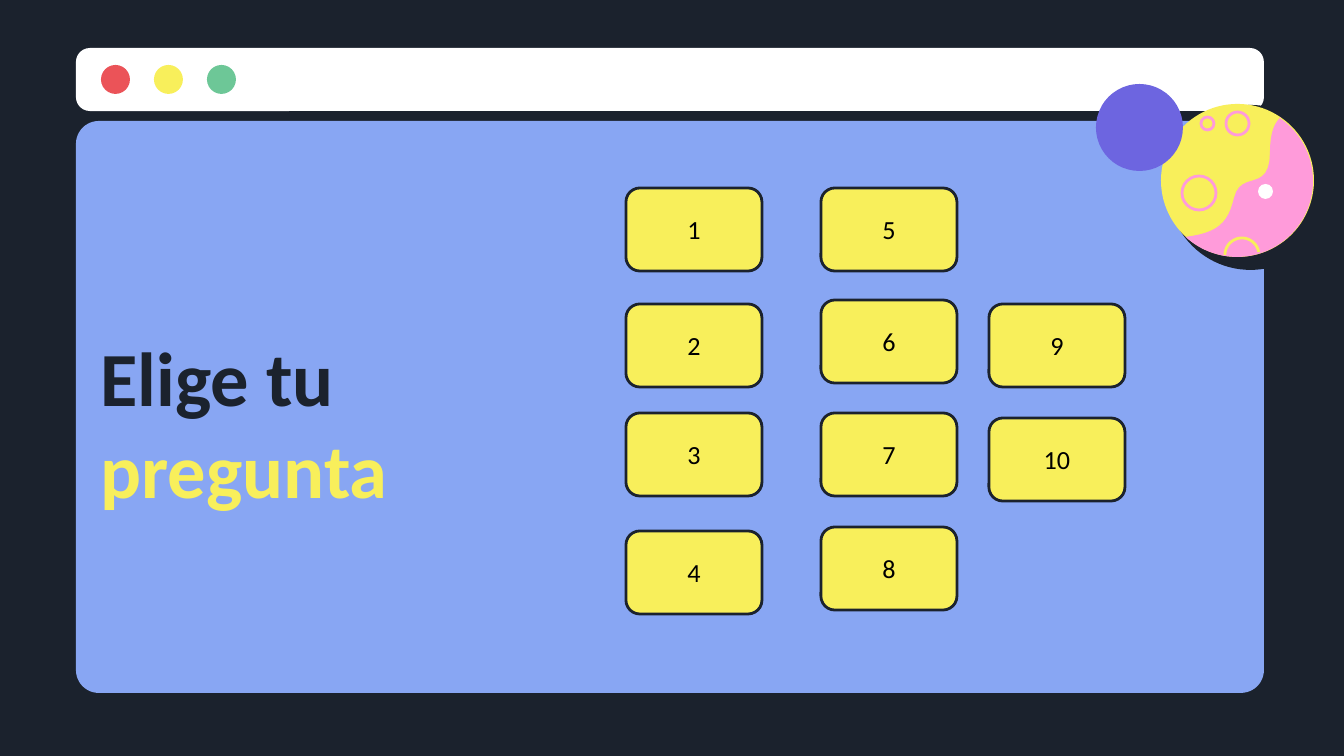
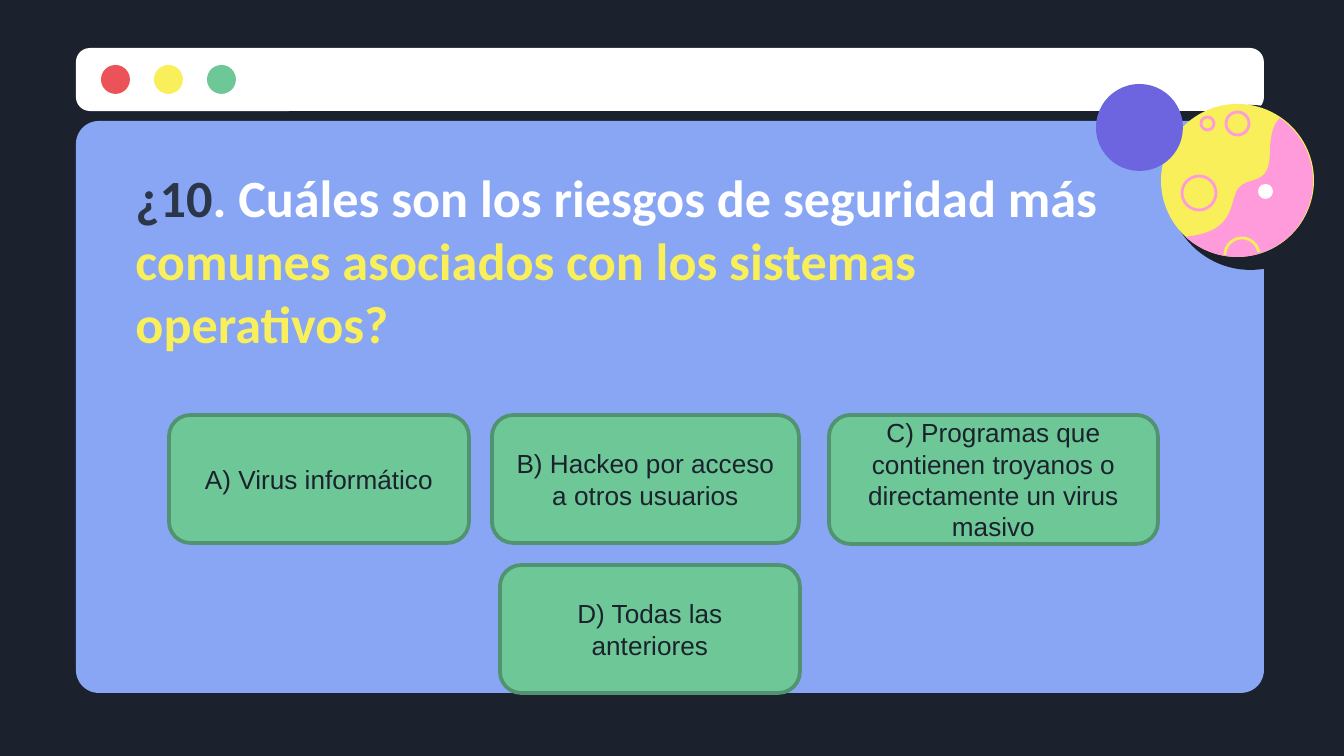
import math

import pptx
import pptx.dml.color
import pptx.enum.shapes
import pptx.enum.text
import pptx.util

PX = 9144000 / 1344
ROUND = pptx.enum.shapes.MSO_SHAPE.ROUNDED_RECTANGLE
OVAL = pptx.enum.shapes.MSO_SHAPE.OVAL
NIGHT, WHITE, YELLOW, GREEN, PINK = "1B222D", "FFFFFF", "F8EF5B", "6DC797", "FF9BDA"


def paint(shape, fill=None, line=None, weight=1.5):
    shape.shadow.inherit = False
    for part, colour in ((shape.fill, fill), (shape.line.fill, line)):
        if colour:
            part.solid()
            part.fore_color.rgb = pptx.dml.color.RGBColor.from_string(colour)
        else:
            part.background()
    if line:
        shape.line.width = pptx.util.Pt(weight)


def add_preset(slide, preset, box, fill=None, line=None, weight=1.5):
    shape = slide.shapes.add_shape(preset, *[round(value * PX) for value in box])
    paint(shape, fill, line, weight)
    return shape


prs = pptx.Presentation()
prs.slide_width, prs.slide_height = round(1344 * PX), round(756 * PX)
layout = prs.slide_layouts.get_by_name("Title Only")
layout.background.fill.solid()
layout.background.fill.fore_color.rgb = pptx.dml.color.RGBColor.from_string(NIGHT)
for placeholder in list(layout.placeholders):
    if placeholder.placeholder_format.type != pptx.enum.shapes.PP_PLACEHOLDER.TITLE:
        placeholder.element.getparent().remove(placeholder.element)
menu = prs.slides.add_slide(layout)
question = prs.slides.add_slide(layout)

# Window frame and planet
add_preset(menu, ROUND, (76, 48, 1188, 63), WHITE).adjustments[0] = 0.22
for index, colour in enumerate(("EB5358", YELLOW, GREEN)):
    add_preset(menu, OVAL, (101 + 53 * index, 65, 29, 29), colour)
add_preset(menu, ROUND, (76, 121, 1188, 572), "88A6F3").adjustments[0] = 0.04
add_preset(menu, OVAL, (1168, 105, 165, 165), NIGHT)
add_preset(menu, OVAL, (1161, 104, 153, 153), YELLOW)
for x, y, size in ((1201, 117, 13), (1226, 112, 23), (1182, 176, 34)):
    add_preset(menu, OVAL, (x, y, size, size), None, PINK)

pink_half = [(1237 + 76 * math.cos(math.radians(angle)), 181 + 76 * math.sin(math.radians(angle)))
             for angle in range(-56, 134, 3)]
shore = [(1185, 237), (1218, 233), (1228, 223), (1234, 198), (1241, 169),
         (1270, 194), (1270, 152), (1270, 132), (1275, 122), (1281, 117)]
for start in range(0, 9, 3):
    for step in range(13):
        t = step / 12
        weights = ((1 - t) ** 3, 3 * t * (1 - t) ** 2, 3 * t * t * (1 - t), t ** 3)
        pink_half.append([sum(weight * point[axis] for weight, point in zip(weights, shore[start:start + 4]))
                          for axis in (0, 1)])
crater = [(1242 + 17 * math.cos(math.radians(angle)), 255 + 17 * math.sin(math.radians(angle)))
          for angle in range(180, 355, 5)]
for outline, closed, fill, line in ((pink_half, True, PINK, None), (crater, False, None, YELLOW)):
    points = [(x * PX, y * PX) for x, y in outline]
    builder = menu.shapes.build_freeform(*points[0])
    builder.add_line_segments(points[1:], close=closed)
    paint(builder.convert_to_shape(), fill, line)
add_preset(menu, OVAL, (1258, 184, 15, 15), WHITE)
add_preset(menu, OVAL, (1096, 84, 87, 87), "6D65E0")
for decoration in list(menu.shapes):
    if not decoration.is_placeholder:
        layout.shapes.element.append(decoration.element)

titles = [
    (menu, (87, 317, 422, 204), 41, [("Elige tu ", NIGHT), ("pregunta", YELLOW)]),
    (question, (122, 152, 1005, 204), 28, [
        ("¿10", "2B3748"),
        (". Cuáles son los riesgos de seguridad más ", WHITE),
        ("comunes asociados con los sistemas operativos?", YELLOW)]),
]
for slide, box, size, pieces in titles:
    title = slide.shapes.title
    title.left, title.top, title.width, title.height = [round(value * PX) for value in box]
    frame = title.text_frame
    frame.auto_size = pptx.enum.text.MSO_AUTO_SIZE.NONE
    frame.vertical_anchor = pptx.enum.text.MSO_ANCHOR.TOP
    frame.margin_top = frame.margin_bottom = pptx.util.Inches(0.1)
    heading = frame.paragraphs[0]
    heading.alignment = pptx.enum.text.PP_ALIGN.LEFT
    heading.font.name, heading.font.size, heading.font.bold = "Calibri", pptx.util.Pt(size), True
    for text, colour in pieces:
        run = heading.add_run()
        run.text = text
        run.font.color.rgb = pptx.dml.color.RGBColor.from_string(colour)

number_spots = [(626, 188), (626, 304), (626, 413), (626, 531),
                (821, 188), (821, 300), (821, 413), (821, 527),
                (989, 304), (989, 418)]
numbers = [((x, y, 136, 83), str(number)) for number, (x, y) in enumerate(number_spots, 1)]
answers = [
    ((169, 415, 300, 128), "A) Virus informático"),
    ((492, 415, 307, 128), "B) Hackeo por acceso a otros usuarios"),
    ((829, 415, 329, 129), "C) Programas que contienen troyanos o directamente un virus masivo"),
    ((500, 565, 300, 128), "D) Todas las anteriores"),
]
for slide, cards, fill, line, weight, font, colour, margin in (
        (menu, numbers, YELLOW, NIGHT, 1.5, "Calibri", "000000", 0.1),
        (question, answers, GREEN, "519370", 2, "Arial", NIGHT, 0.05)):
    for box, text in cards:
        frame = add_preset(slide, ROUND, box, fill, line, weight).text_frame
        frame.word_wrap = True
        frame.vertical_anchor = pptx.enum.text.MSO_ANCHOR.MIDDLE
        frame.margin_top = frame.margin_bottom = pptx.util.Inches(margin)
        label = frame.paragraphs[0]
        label.text = text
        label.alignment = pptx.enum.text.PP_ALIGN.CENTER
        label.font.name, label.font.size = font, pptx.util.Pt(14)
        label.font.color.rgb = pptx.dml.color.RGBColor.from_string(colour)

prs.save("out.pptx")
